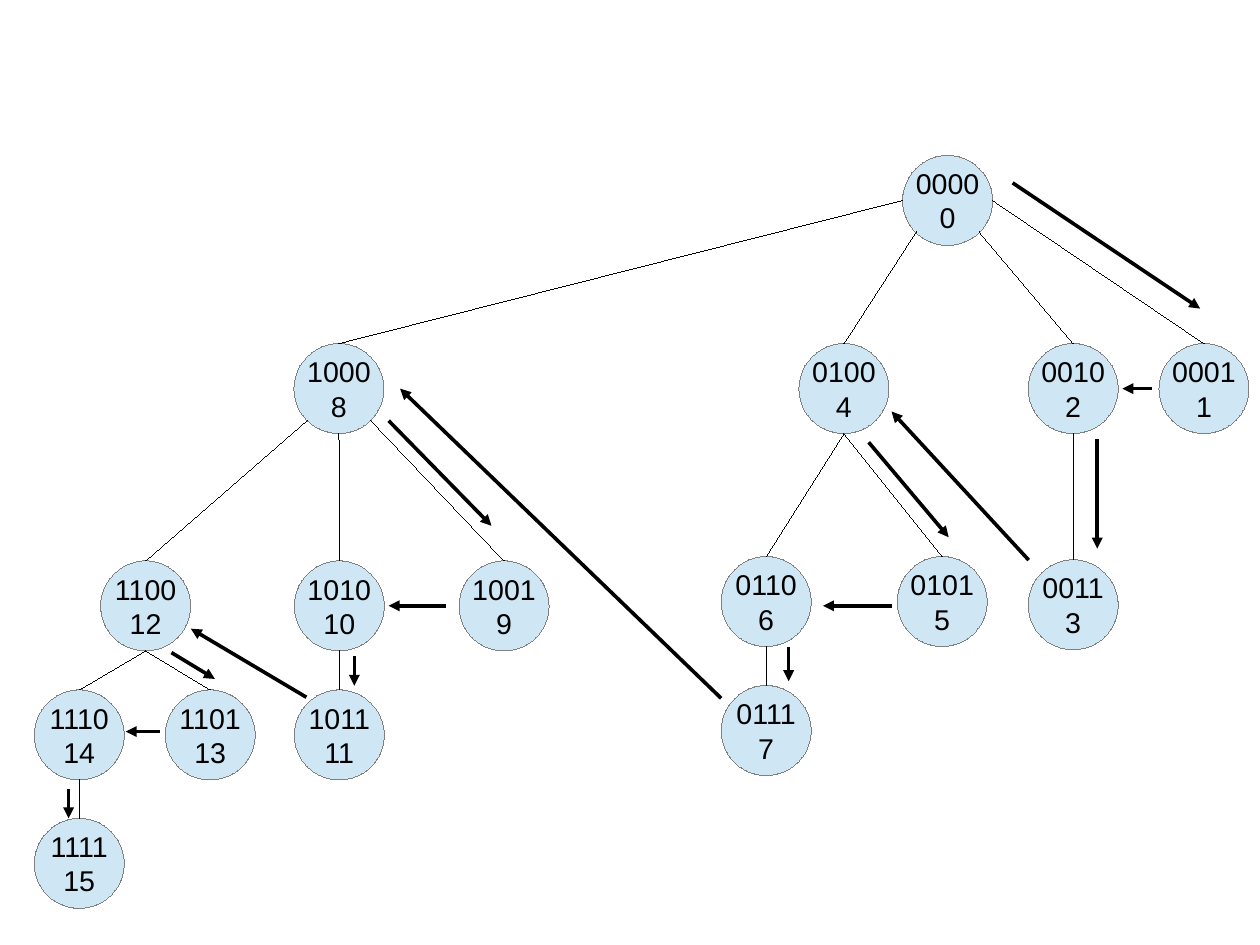
from lxml import etree
from pptx import Presentation, util as u
from pptx.dml.color import RGBColor
from pptx.enum import shapes, text
from pptx.oxml.ns import qn

D = 56.7
HAIRLINE = 0.01
NODES = {
    15: (21.6, 515.5), 14: (21.6, 434.6), 13: (104.1, 434.6),
    12: (63.4, 353.3), 10: (185.4, 353.3), 11: (185.4, 434.6),
    9: (289.2, 353.3), 8: (185.2, 216.4), 7: (454.3, 431.8),
    5: (565.2, 350.6), 6: (454.3, 350.6), 3: (647.7, 352.6),
    4: (503.3, 216.4), 2: (647.7, 216.4), 1: (730.1, 216.4),
    0: (568.6, 97.9),
}
LEFT, RIGHT, BOTTOM = (0, 0.5), (1, 0.5), (0.5, 1)
LOWER_LEFT, LOWER_RIGHT = (0.15, 0.85), (0.85, 0.85)
EXITS = {8: LEFT, 4: LOWER_LEFT, 2: LOWER_RIGHT, 1: RIGHT,
         12: LOWER_LEFT, 9: LOWER_RIGHT}
STEPS = [
    (637.9, 115.2, 756, 194.4),
    (725.8, 244.8, 707, 244.8),
    (691.2, 276.5, 691.2, 345.6),
    (648, 352.8, 561.6, 259.2),
    (547.2, 278.6, 597.6, 338.4),
    (561.6, 381.6, 518.4, 381.6),
    (496.8, 407.5, 496.8, 429.1),
    (454.3, 439.9, 252, 244.8),
    (244.8, 265, 309.6, 331.2),
    (280.8, 381.6, 244.8, 381.6),
    (223.2, 413.3, 223.2, 432),
    (193, 439.2, 120.2, 396),
    (108, 411.1, 135.4, 427.7),
    (100.8, 460.8, 79.2, 460.8),
    (43.2, 496.8, 43.2, 515.5),
]


def rgb(color):
    return RGBColor.from_string(color)


def add_line(s, x1, y1, x2, y2, width=HAIRLINE, arrow=False):
    c = s.shapes.add_connector(shapes.MSO_CONNECTOR.STRAIGHT,
                               u.Pt(x1), u.Pt(y1), u.Pt(x2), u.Pt(y2))
    c.line.color.rgb = rgb("000000")
    c.line.width = u.Pt(width)
    if arrow:
        etree.SubElement(c.line._get_or_add_ln(), qn("a:tailEnd"), type="triangle")
    etree.SubElement(c._element.spPr, qn("a:effectLst"))


def add_node(s, n, x, y):
    sp = s.shapes.add_shape(shapes.MSO_SHAPE.OVAL,
                            u.Pt(x), u.Pt(y), u.Pt(D), u.Pt(D))
    sp.shadow.inherit = False
    sp.fill.solid()
    sp.fill.fore_color.rgb = rgb("CFE7F5")
    sp.line.color.rgb = rgb("808080")
    sp.line.width = u.Pt(HAIRLINE)
    tf = sp.text_frame
    tf.word_wrap = False
    tf.vertical_anchor = text.MSO_ANCHOR.MIDDLE
    tf.text = f"{n:04b}\n{n}"
    for p in tf.paragraphs:
        p.alignment = text.PP_ALIGN.CENTER
        p.font.name = "Arial"
        p.font.size = u.Pt(18)
        p.font.color.rgb = rgb("000000")


def add_tree(s, left, top):
    for n, (x, y) in NODES.items():
        add_node(s, n, left + x, top + y)
    for n, (x, y) in NODES.items():
        if n:
            px, py = NODES[n & (n - 1)]
            fx, fy = EXITS.get(n, BOTTOM)
            add_line(s, left + x + D / 2, top + y,
                     left + px + fx * D, top + py + fy * D)


def add_walk(s, left, top):
    for x1, y1, x2, y2 in STEPS:
        add_line(s, left + x1, top + y1, left + x2, top + y2, 2.3, True)


def main():
    prs = Presentation()
    prs.slide_width, prs.slide_height = u.Pt(793.7), u.Pt(595.28)
    s = prs.slides.add_slide(prs.slide_layouts[6])
    add_tree(s, 0, 0)
    add_walk(s, 0, 0)
    prs.save("out.pptx")


if __name__ == "__main__":
    main()
